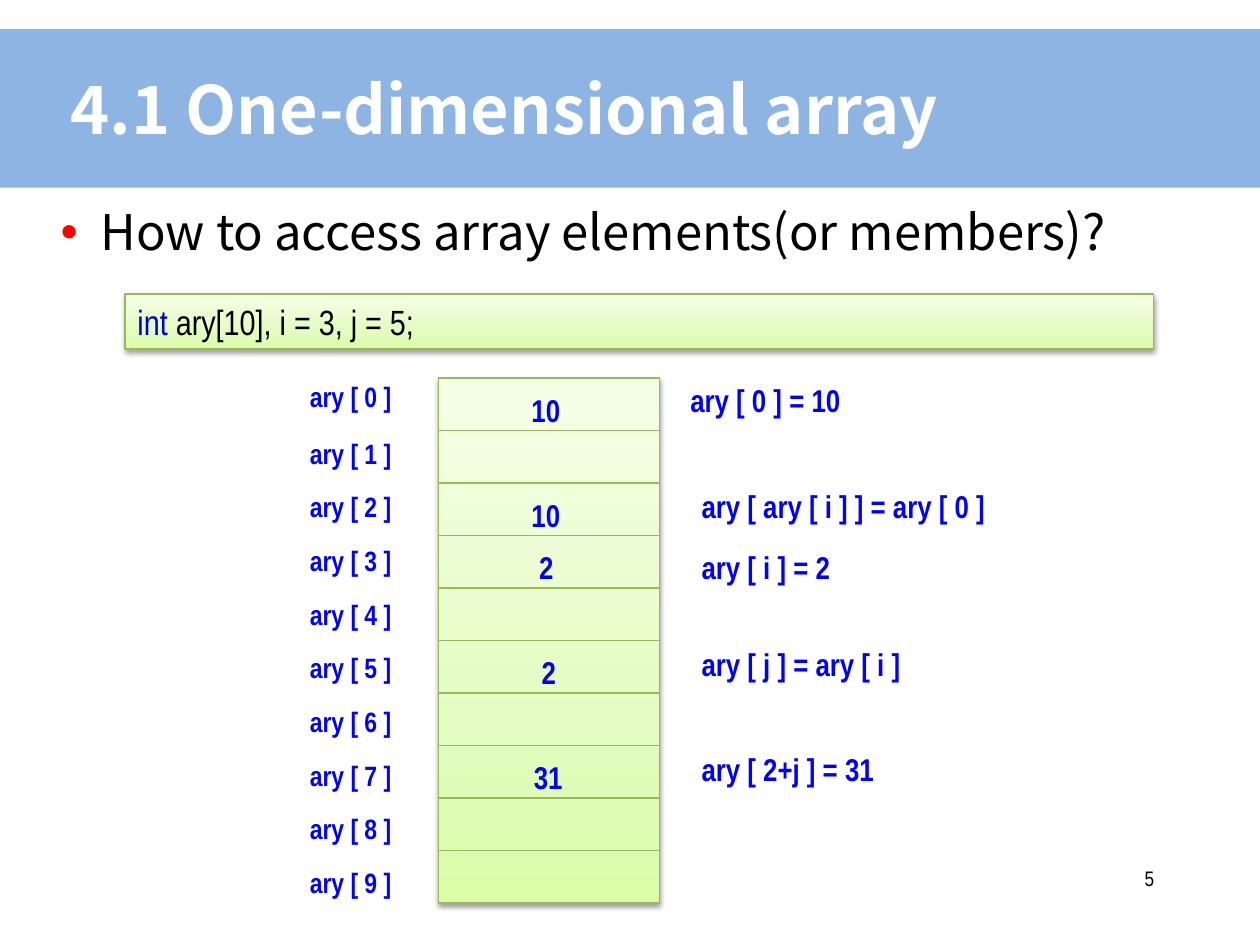
"""Build a slide on accessing the elements of a one-dimensional array."""
import copy

import lxml.etree
import pptx
import pptx.dml.color
import pptx.enum.shapes
import pptx.enum.text
import pptx.oxml
import pptx.oxml.ns
import pptx.util

Pt = pptx.util.Pt
RGBColor = pptx.dml.color.RGBColor
PP_ALIGN = pptx.enum.text.PP_ALIGN
MSO_ANCHOR = pptx.enum.text.MSO_ANCHOR
RECTANGLE = pptx.enum.shapes.MSO_SHAPE.RECTANGLE
qn = pptx.oxml.ns.qn

WHITE = RGBColor(0xFF, 0xFF, 0xFF)
BLACK = RGBColor(0x00, 0x00, 0x00)
BAND = RGBColor(0x8E, 0xB4, 0xE3)
BLUE = RGBColor(0x00, 0x00, 0xFF)
KEYWORD = RGBColor(0x00, 0x00, 0xCC)
GREEN_LINE = RGBColor(0x98, 0xB9, 0x55)
GREEN_STOPS = [
    (0, RGBColor(0xDA, 0xFD, 0xA7)),
    (0.35, RGBColor(0xE4, 0xFC, 0xC2)),
    (1, RGBColor(0xF5, 0xFF, 0xE7)),
]
SANS = "Noto Sans CJK SC"
NARROW = "Arial Narrow"
NS = 'xmlns:a="http://schemas.openxmlformats.org/drawingml/2006/main"'
SHADOW = (
    f'<a:effectLst {NS}><a:outerShdw blurRad="39400" dist="20300" dir="5400000" rotWithShape="0">'
    '<a:srgbClr val="000000"><a:alpha val="38000"/></a:srgbClr></a:outerShdw></a:effectLst>'
)
BULLET = [
    f'<a:buClr {NS}><a:srgbClr val="FF0000"/></a:buClr>',
    f'<a:buFont {NS} typeface="Arial"/>',
    f'<a:buChar {NS} char="•"/>',
]
TIGHT = {
    "margin_left": Pt(6.5), "margin_right": Pt(6.5),
    "margin_top": Pt(3), "margin_bottom": Pt(3), "word_wrap": True,
}
LABEL = {"vertical_anchor": MSO_ANCHOR.MIDDLE, "word_wrap": False}


def add_run(p, text, name, size, color, bold=False):
    r = p.add_run()
    r.text = text
    for key, value in {"name": name, "size": Pt(size), "bold": bold}.items():
        setattr(r.font, key, value)
    r.font.color.rgb = color


def add_panel(shapes, x, y, w, h):
    sp = shapes.add_shape(RECTANGLE, Pt(x), Pt(y), Pt(w), Pt(h))
    sp.fill.gradient()
    sp.fill.gradient_angle = 90
    first = sp._element.spPr.find(".//" + qn("a:gs"))
    first.addnext(copy.deepcopy(first))
    for stop, (position, color) in zip(sp.fill.gradient_stops, GREEN_STOPS):
        stop.position = position
        stop.color.rgb = color
    sp.line.color.rgb = GREEN_LINE
    sp.line.width = Pt(0.75)
    sp._element.spPr.append(pptx.oxml.parse_xml(SHADOW))
    return sp


prs = pptx.Presentation()
prs.slide_width = Pt(720)
prs.slide_height = Pt(540)
s = prs.slides.add_slide(prs.slide_layouts[5])

band = s.shapes.add_shape(RECTANGLE, 0, Pt(16.6), Pt(720), Pt(90.7))
band.shadow.inherit = False
band.fill.solid()
band.fill.fore_color.rgb = BAND
band.line.fill.background()
s.shapes._spTree.insert(2, band._element)

title = s.shapes.title
for key, value in {"left": 33.8, "top": 16.6, "width": 612, "height": 90}.items():
    setattr(title, key, Pt(value))
tf = title.text_frame
title_format = {"vertical_anchor": MSO_ANCHOR.MIDDLE, "auto_size": pptx.enum.text.MSO_AUTO_SIZE.NONE}
for key, value in {**TIGHT, **title_format}.items():
    setattr(tf, key, value)
p = tf.paragraphs[0]
p.alignment = PP_ALIGN.LEFT
add_run(p, "4.1 One-dimensional array", SANS, 38, WHITE, True)

tf = s.shapes.add_textbox(Pt(28.1), Pt(112.3), Pt(652), Pt(50)).text_frame
for key, value in TIGHT.items():
    setattr(tf, key, value)
p = tf.paragraphs[0]
add_run(p, "How to access array elements(or members)?", SANS, 28, BLACK)
pPr = p._p.get_or_add_pPr()
pPr.set("marL", str(Pt(23)))
pPr.set("indent", str(-Pt(23)))
for xml in BULLET:
    pPr.append(lxml.etree.fromstring(xml, pptx.oxml.oxml_parser) if hasattr(pptx.oxml, "oxml_parser")
               else pptx.oxml.parse_xml(xml))

tf = s.shapes.add_textbox(Pt(516.2), Pt(491.8), Pt(149.8), Pt(36)).text_frame
for key, value in TIGHT.items():
    setattr(tf, key, value)
p = tf.paragraphs[0]
p.alignment = PP_ALIGN.RIGHT
add_run(p, "5", NARROW, 12, BLACK)

tf = add_panel(s.shapes, 71.5, 168, 587.5, 31.5).text_frame
tf.vertical_anchor = MSO_ANCHOR.TOP
p = tf.paragraphs[0]
p.alignment = PP_ALIGN.LEFT
add_run(p, "int ", NARROW, 20, KEYWORD)
add_run(p, "ary[10], i = 3, j = 5;", NARROW, 20, BLACK)

COUNT, LEFT, TOP, WIDTH, ROW = 10, 250.5, 216, 126.5, 30
add_panel(s.shapes, LEFT, TOP, WIDTH, COUNT * ROW)
for i in range(1, COUNT):
    y = Pt(TOP + i * ROW)
    line = s.shapes.add_connector(
        pptx.enum.shapes.MSO_CONNECTOR.STRAIGHT, Pt(LEFT), y, Pt(LEFT + WIDTH), y)
    line.line.color.rgb = GREEN_LINE
    line.line.width = Pt(0.75)
    lxml.etree.SubElement(line._element.spPr, qn("a:effectLst"))

tf = s.shapes.add_textbox(Pt(170), Pt(209.5), Pt(61), Pt(309.5)).text_frame
for key, value in LABEL.items():
    setattr(tf, key, value)
for i in range(COUNT):
    p = tf.add_paragraph() if i else tf.paragraphs[0]
    p.line_spacing = {0: 1.1, 1: 1.5}.get(i, 1.4)
    p.space_before = Pt(3.8)
    add_run(p, f"ary [ {i} ]", NARROW, 16, BLUE, True)

for x, y, w, text in [
    (387.4, 213.8, 112.3, "ary [ 0 ] = 10"),
    (296.6, 219.6, 32.4, "10"),
    (393.8, 274.6, 178.6, "ary [ ary [ i ] ] = ary [ 0 ]"),
    (296.6, 279.6, 32.4, "10"),
    (393.8, 309.6, 99.4, "ary [ i ] = 2"),
    (301, 309.6, 23, "2"),
    (393.8, 365, 147.6, "ary [ j ] = ary [ i ]"),
    (302.4, 369.6, 23, "2"),
    (393.8, 424.8, 128.2, "ary [ 2+j ] = 31"),
    (298, 429.6, 32.4, "31"),
]:
    tf = s.shapes.add_textbox(Pt(x), Pt(y), Pt(w), Pt(29)).text_frame
    for key, value in LABEL.items():
        setattr(tf, key, value)
    add_run(tf.paragraphs[0], text, NARROW, 18, BLUE, True)

prs.save("out.pptx")
